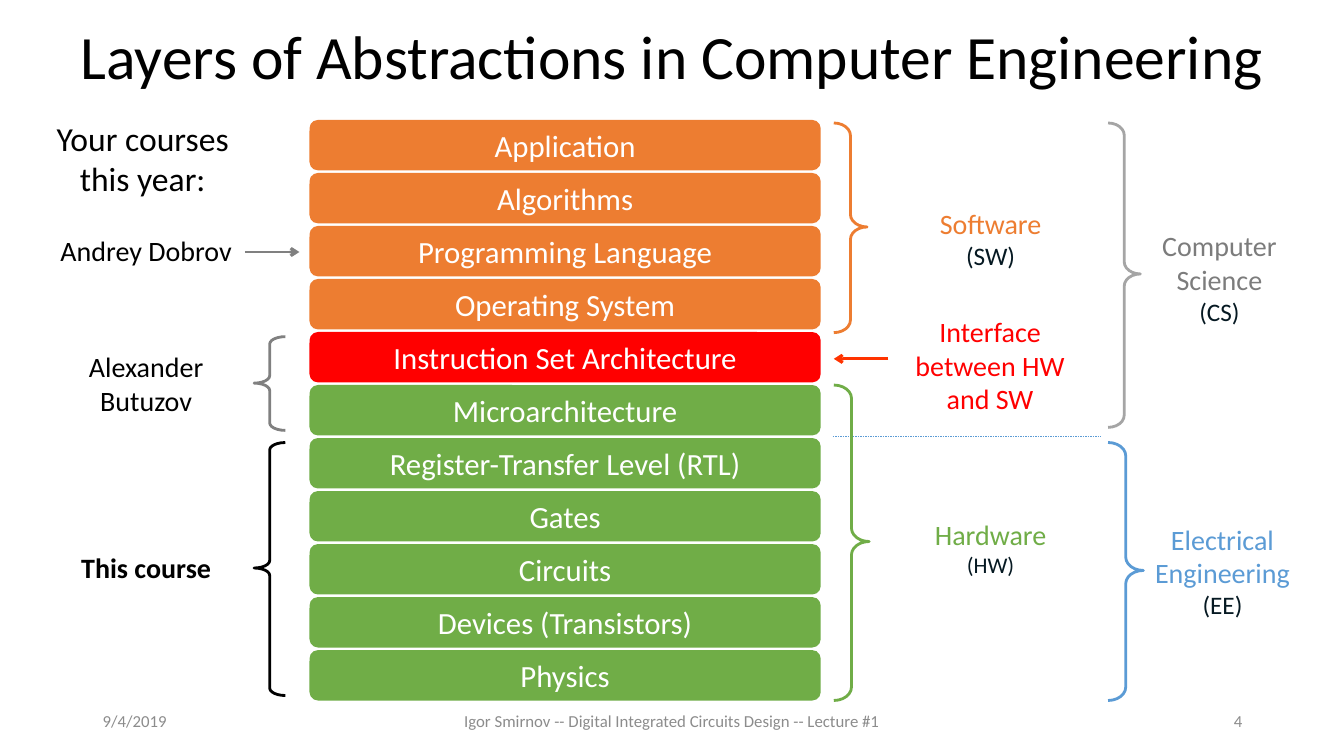
from lxml.etree import SubElement
from pptx import Presentation
from pptx.dml.color import RGBColor
from pptx.enum.dml import MSO_LINE
from pptx.enum.shapes import MSO_CONNECTOR, MSO_SHAPE
from pptx.enum.text import MSO_ANCHOR, MSO_AUTO_SIZE, PP_ALIGN
from pptx.oxml.ns import qn
from pptx.util import Inches, Pt

FONT = "Calibri"
BLACK = RGBColor(0x00, 0x00, 0x00)
WHITE = RGBColor(0xFF, 0xFF, 0xFF)
ORANGE = RGBColor(0xED, 0x7D, 0x31)
RED = RGBColor(0xFF, 0x00, 0x00)
ARROW_RED = RGBColor(0xFF, 0x33, 0x00)
GREEN = RGBColor(0x70, 0xAD, 0x47)
BLUE = RGBColor(0x5B, 0x9B, 0xD5)
LIGHT_GRAY = RGBColor(0xA5, 0xA5, 0xA5)
FOOTER_GRAY = RGBColor(0x8C, 0x8C, 0x8C)
GRAY = RGBColor(0x80, 0x80, 0x80)
TEXT_GRAY = RGBColor(0x7C, 0x7C, 0x7C)
INK = RGBColor(0x06, 0x19, 0x22)

# Layer stack grid
STACK_LEFT, STACK_TOP, STACK_WIDTH = 3.07, 1.19, 5.07
LAYER_HEIGHT, LAYER_PITCH = 0.5, 0.526

prs = Presentation()
prs.slide_width, prs.slide_height = Inches(13.33), Inches(7.5)
slide = prs.slides.add_slide(prs.slide_layouts[5])
shapes = slide.shapes


def add_label(box, paragraphs, align=PP_ALIGN.CENTER, anchor=MSO_ANCHOR.TOP, bold=False):
    """Each paragraph is a list of (text, size, colour) runs."""
    frame = shapes.add_textbox(*map(Inches, box)).text_frame
    frame.word_wrap = True
    frame.vertical_anchor = anchor
    for number, runs in enumerate(paragraphs):
        paragraph = frame.add_paragraph() if number else frame.paragraphs[0]
        paragraph.alignment = align
        paragraph.font.name = FONT
        paragraph.font.bold = bold
        for text, size, color in runs:
            run = paragraph.add_run()
            run.text = text
            run.font.size = Pt(size)
            run.font.color.rgb = color


def add_line(x1, y1, x2, y2, color, width):
    line = shapes.add_connector(MSO_CONNECTOR.STRAIGHT, *map(Inches, (x1, y1, x2, y2)))
    line.line.color.rgb = color
    line.line.width = Pt(width)
    SubElement(line._element.spPr, qn("a:effectLst"))
    return line


# Border between computer science and electrical engineering
border = add_line(8.26, 4.33, 10.92, 4.33, BLUE, 0.25)
border.line.dash_style = MSO_LINE.DASH

# Title
title = shapes.title
title.left, title.top, title.width, title.height = map(Inches, (0.64, 0, 12.06, 1.18))
title.text_frame.text = "Layers of Abstractions in Computer Engineering"
title.text_frame.auto_size = MSO_AUTO_SIZE.NONE
title.text_frame.vertical_anchor = MSO_ANCHOR.MIDDLE
heading = title.text_frame.paragraphs[0]
heading.alignment = PP_ALIGN.CENTER
heading.line_spacing = 0.9
heading.font.name, heading.font.size = FONT, Pt(44)
heading.font.color.rgb = BLACK

# Footer
for left, width, text, align in [
    (0.92, 3, "9/4/2019", PP_ALIGN.LEFT),
    (4.13, 5.07, "Igor Smirnov -- Digital Integrated Circuits Design -- Lecture #1", PP_ALIGN.CENTER),
    (9.42, 3, "4", PP_ALIGN.RIGHT),
]:
    add_label((left, 6.95, width, 0.4), [[(text, 12, FOOTER_GRAY)]], align, MSO_ANCHOR.MIDDLE)

# Abstraction layers
layers = [
    ("Application", ORANGE),
    ("Algorithms", ORANGE),
    ("Programming Language", ORANGE),
    ("Operating System", ORANGE),
    ("Instruction Set Architecture", RED),
    ("Microarchitecture", GREEN),
    ("Register-Transfer Level (RTL)", GREEN),
    ("Gates", GREEN),
    ("Circuits", GREEN),
    ("Devices (Transistors)", GREEN),
    ("Physics", GREEN),
]
for row, (name, color) in enumerate(layers):
    layer = shapes.add_shape(
        MSO_SHAPE.ROUNDED_RECTANGLE, Inches(STACK_LEFT), Inches(STACK_TOP + row * LAYER_PITCH),
        Inches(STACK_WIDTH), Inches(LAYER_HEIGHT))
    layer.shadow.inherit = False
    layer.fill.solid()
    layer.fill.fore_color.rgb = color
    layer.line.fill.background()
    layer.text_frame.text = name
    layer.text_frame.word_wrap = False
    layer.text_frame.vertical_anchor = MSO_ANCHOR.MIDDLE
    caption = layer.text_frame.paragraphs[0]
    caption.alignment = PP_ALIGN.CENTER
    caption.font.name, caption.font.size = FONT, Pt(22)
    caption.font.color.rgb = WHITE

# Braces that group the layers
for direction, box, curl, color in [
    (MSO_SHAPE.RIGHT_BRACE, (8.27, 1.22, 0.33, 2.08), 0.378, ORANGE),
    (MSO_SHAPE.RIGHT_BRACE, (8.27, 3.82, 0.35, 3.13), 0.378, GREEN),
    (MSO_SHAPE.RIGHT_BRACE, (10.99, 1.22, 0.32, 3.02), 0.378, LIGHT_GRAY),
    (MSO_SHAPE.RIGHT_BRACE, (10.99, 4.39, 0.35, 2.56), 0.378, BLUE),
    (MSO_SHAPE.LEFT_BRACE, (2.52, 3.34, 0.31, 0.93), 0.238, GRAY),
    (MSO_SHAPE.LEFT_BRACE, (2.52, 4.39, 0.31, 2.51), 0.238, BLACK),
]:
    brace = shapes.add_shape(direction, *map(Inches, box))
    brace.shadow.inherit = False
    brace.fill.background()
    brace.line.color.rgb = color
    brace.line.width = Pt(2)
    brace.adjustments[0], brace.adjustments[1] = curl, 0.496

# Arrows to single layers
for start, end, y, color in [(8.81, 8.27, 3.56, ARROW_RED), (2.43, 2.97, 2.5, GRAY)]:
    arrow = add_line(start, y, end, y, color, 2)
    SubElement(arrow.line._get_or_add_ln(), qn("a:tailEnd"), type="arrow")

# Fields on the right
add_label((9.04, 2, 1.57, 0.65), [[("Software ", 20, ORANGE), ("(SW)", 18, INK)]])
add_label((8.9, 3.07, 1.84, 0.98), [[("Interface between HW and SW", 20, RED)]])
add_label((9.03, 5.08, 1.59, 0.62), [[("Hardware ", 20, GREEN), ("(HW)", 16, INK)]])
add_label((11.31, 2.22, 1.57, 1.08), [[("Computer Science", 20, TEXT_GRAY)], [("(CS)", 18, INK)]])
add_label((11.34, 5.13, 1.57, 1.08), [[("Electrical Engineering", 20, BLUE)], [("(EE)", 18, INK)]])

# Courses on the left
add_label((0.2, 1.12, 2.43, 0.91), [[("Your courses this year:", 24, BLACK)]])
add_label((0.2, 2.27, 2.5, 0.44), [[("Andrey Dobrov", 20, BLACK)]])
add_label((0.38, 3.42, 2.14, 0.77), [[("Alexander Butuzov", 20, BLACK)]])
add_label((0.38, 5.41, 2.14, 0.44), [[("This course", 20, BLACK)]], bold=True)

prs.save("out.pptx")
